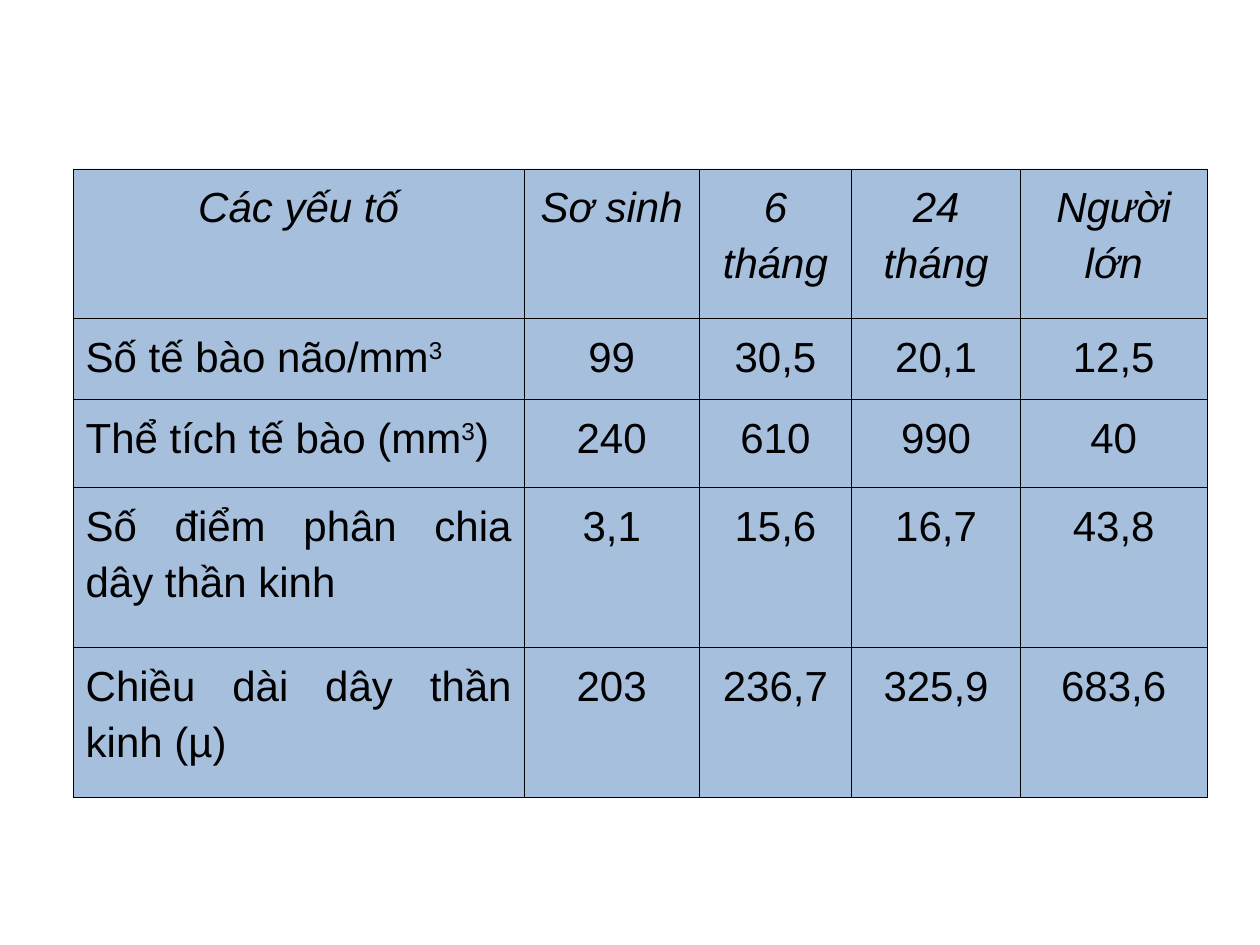
import pptx
import pptx.util
import pptx.dml.color
import pptx.enum.text
import pptx.oxml

BLACK = pptx.dml.color.RGBColor(0x00, 0x00, 0x00)
BLUE = pptx.dml.color.RGBColor(0x4F, 0x81, 0xBD)
ALIGN = pptx.enum.text.PP_ALIGN
URI = "http://schemas.openxmlformats.org/drawingml/2006/main"
NS = f'xmlns:a="{URI}"'

# Sizes in percent of the slide's width and height
LEFT, TOP = 5.8, 17.87
COLS = [35.8, 13.9, 12.1, 13.4, 14.8]
ROWS = [15.87, 8.53, 9.33, 16.93, 15.87]

# Text between carets is raised
DATA = [
    ["Các yếu tố", "Sơ sinh", "6 tháng", "24 tháng", "Người lớn"],
    ["Số tế bào não/mm^3^", "99", "30,5", "20,1", "12,5"],
    ["Thể tích tế bào (mm^3^)", "240", "610", "990", "40"],
    ["Số điểm phân chia dây thần kinh", "3,1", "15,6", "16,7", "43,8"],
    ["Chiều dài dây thần kinh (µ)", "203", "236,7", "325,9", "683,6"],
]


class Deck:
    font = {"name": "Arial", "size": pptx.util.Pt(24), "bold": False}
    flags = {"first_row": False, "horz_banding": False}
    rule = pptx.util.Pt(0.45)

    def __init__(self):
        self.prs = pptx.Presentation()
        self.prs.slide_width = pptx.util.Inches(10)
        self.prs.slide_height = pptx.util.Inches(7.5)
        self.slide = self.prs.slides.add_slide(self.prs.slide_layouts[6])

    def wide(self, share):
        return round(self.prs.slide_width * share / 100)

    def high(self, share):
        return round(self.prs.slide_height * share / 100)

    def style(self, item, form):
        for key, value in form.items():
            setattr(item, key, value)

    def table(self, left, top, cols, rows, data):
        frame = self.slide.shapes.add_table(
            len(rows), len(cols), self.wide(left), self.high(top),
            self.wide(sum(cols)), self.high(sum(rows)))
        grid = frame.table
        self.style(grid, self.flags)
        for col, share in zip(grid.columns, cols):
            col.width = self.wide(share)
        for row, share in zip(grid.rows, rows):
            row.height = self.high(share)
        for r, line in enumerate(data):
            for c, text in enumerate(line):
                cell = grid.cell(r, c)
                self.edge(cell)
                self.paint(cell)
                align = ALIGN.JUSTIFY if r and not c else ALIGN.CENTER
                self.label(cell, text, align, italic=r == 0)

    def edge(self, cell):
        props = cell._tc.get_or_add_tcPr()
        for side in "LRTB":
            props.append(pptx.oxml.parse_xml(
                f'<a:ln{side} {NS} w="{int(self.rule)}"><a:solidFill>'
                f'<a:srgbClr val="{BLACK}"/></a:solidFill></a:ln{side}>'))

    def paint(self, cell):
        cell.fill.solid()
        cell.fill.fore_color.rgb = BLUE
        # Half transparent
        color = cell._tc.tcPr.find(f"{{{URI}}}solidFill/{{{URI}}}srgbClr")
        color.append(pptx.oxml.parse_xml(f'<a:alpha {NS} val="50000"/>'))

    def label(self, cell, text, align, italic):
        para = cell.text_frame.paragraphs[0]
        self.style(para, {"alignment": align, "line_spacing": 1.2})
        for i, part in enumerate(text.split("^")):
            if not part:
                continue
            run = para.add_run()
            run.text = part
            self.style(run.font, {**self.font, "italic": italic})
            run.font.color.rgb = BLACK
            if i % 2:
                run._r.get_or_add_rPr().set("baseline", "30000")


def main():
    deck = Deck()
    # Table of brain growth by age
    deck.table(LEFT, TOP, COLS, ROWS, DATA)
    deck.prs.save("out.pptx")


if __name__ == "__main__":
    main()
